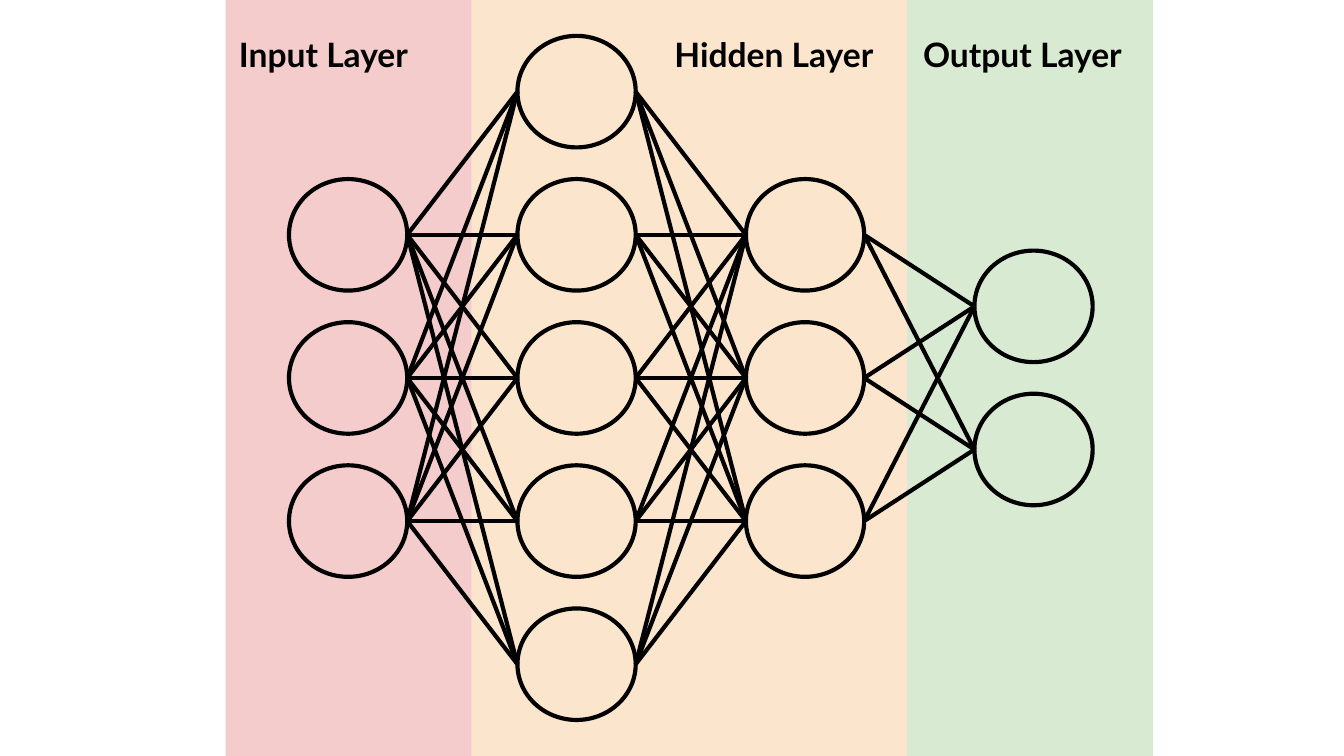
from itertools import product

from lxml.etree import SubElement
from pptx import Presentation
from pptx.dml.color import RGBColor
from pptx.enum.shapes import MSO_CONNECTOR as Connector, MSO_SHAPE as Shape
from pptx.oxml.ns import qn
from pptx.util import Inches, Pt

COLORS = {
    "input": "F4CCCC",
    "hidden": "FCE5CD",
    "output": "D9EAD3",
    "ink": "000000",
}
SLIDE_WIDTH, SLIDE_HEIGHT = 10, 5.625
BAND_LEFT, SIDE_BAND, MIDDLE_BAND = 1.68, 1.83, 3.24
NODE_WIDTH, NODE_HEIGHT = 0.88, 0.83
FIRST_COLUMN, COLUMN_STEP, ROW_STEP = 2.15, 1.7, 1.065
LAYER_SIZES = [3, 5, 3, 2]
LABEL_TOP, LABEL_HEIGHT, INSET = 0.15, 0.53, 0.1


def color(name):
    return RGBColor.from_string(COLORS[name])


def box(left, top, width, height):
    return [Inches(value) for value in (left, top, width, height)]


def style_line(line):
    line.color.rgb = color("ink")
    line.width = Pt(2.25)


def add_band(slide, left, width, fill):
    band = slide.shapes.add_shape(Shape.RECTANGLE, *box(left, 0, width, SLIDE_HEIGHT))
    band.shadow.inherit = False
    band.fill.solid()
    band.fill.fore_color.rgb = color(fill)
    band.line.fill.background()


def add_node(slide, left, middle):
    node = slide.shapes.add_shape(
        Shape.OVAL, *box(left, middle - NODE_HEIGHT / 2, NODE_WIDTH, NODE_HEIGHT)
    )
    node.shadow.inherit = False
    node.fill.background()
    style_line(node.line)


def add_edge(slide, start, end):
    edge = slide.shapes.add_connector(Connector.STRAIGHT, *map(Inches, start + end))
    style_line(edge.line)
    SubElement(edge._element.spPr, qn("a:effectLst"))


def add_label(slide, left, text):
    label = slide.shapes.add_textbox(*box(left, LABEL_TOP, SIDE_BAND, LABEL_HEIGHT))
    frame = label.text_frame
    frame.word_wrap = True
    frame.margin_left = frame.margin_right = Inches(INSET)
    frame.margin_top = frame.margin_bottom = Inches(INSET)
    frame.text = text
    font = frame.paragraphs[0].runs[0].font
    font.name = "Lato"
    font.size = Pt(18)
    font.bold = True
    font.color.rgb = color("ink")


def layer_nodes(column, count):
    left = FIRST_COLUMN + column * COLUMN_STEP
    first = SLIDE_HEIGHT / 2 - (count - 1) / 2 * ROW_STEP
    return [(left, first + row * ROW_STEP) for row in range(count)]


def main():
    presentation = Presentation()
    presentation.slide_width = Inches(SLIDE_WIDTH)
    presentation.slide_height = Inches(SLIDE_HEIGHT)
    slide = presentation.slides.add_slide(presentation.slide_layouts[6])

    hidden_left = BAND_LEFT + SIDE_BAND
    output_left = hidden_left + MIDDLE_BAND
    add_band(slide, output_left, SIDE_BAND, "output")
    add_band(slide, hidden_left, MIDDLE_BAND, "hidden")
    add_band(slide, BAND_LEFT, SIDE_BAND, "input")

    layers = [layer_nodes(column, count) for column, count in enumerate(LAYER_SIZES)]
    for layer in layers:
        for left, middle in layer:
            add_node(slide, left, middle)
    for sources, targets in zip(layers, layers[1:]):
        for (left, middle), target in product(sources, targets):
            add_edge(slide, (left + NODE_WIDTH, middle), target)

    add_label(slide, BAND_LEFT, "Input Layer")
    add_label(slide, output_left - SIDE_BAND, "Hidden Layer")
    add_label(slide, output_left + 0.02, "Output Layer")
    presentation.save("out.pptx")


if __name__ == "__main__":
    main()
